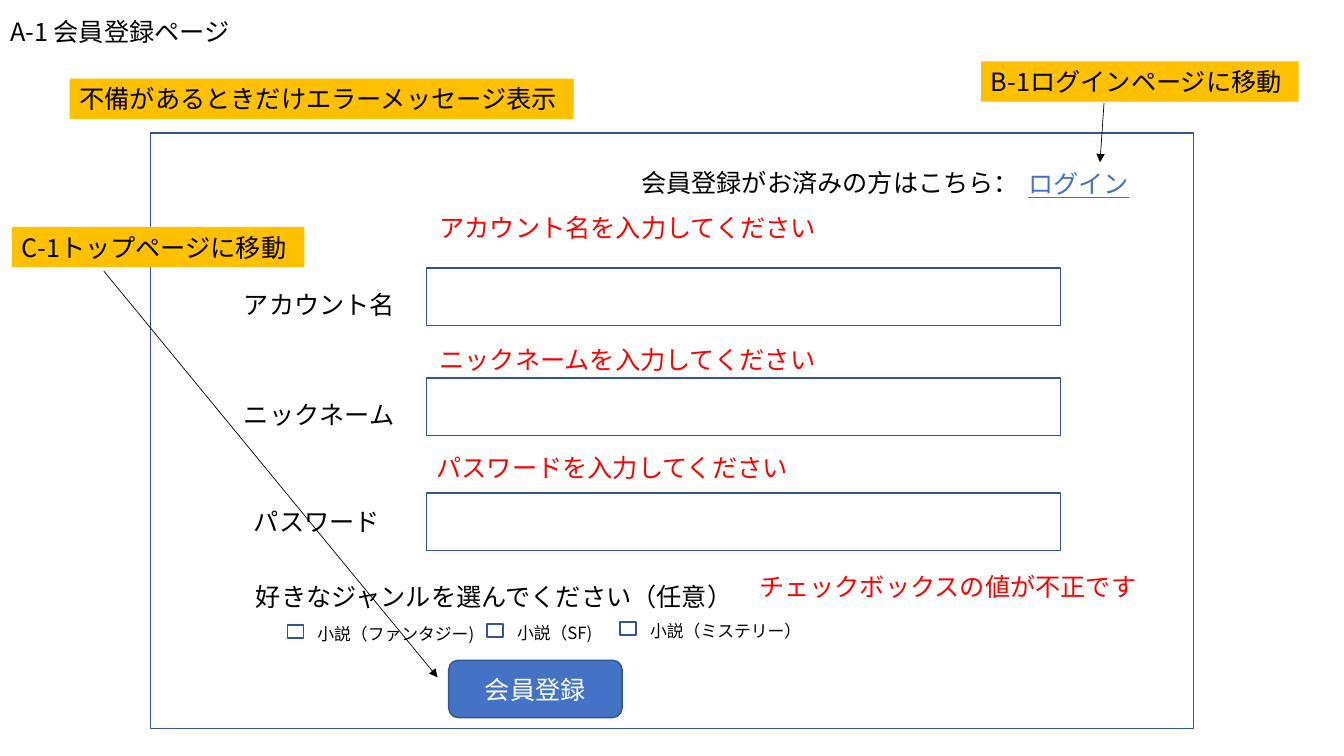
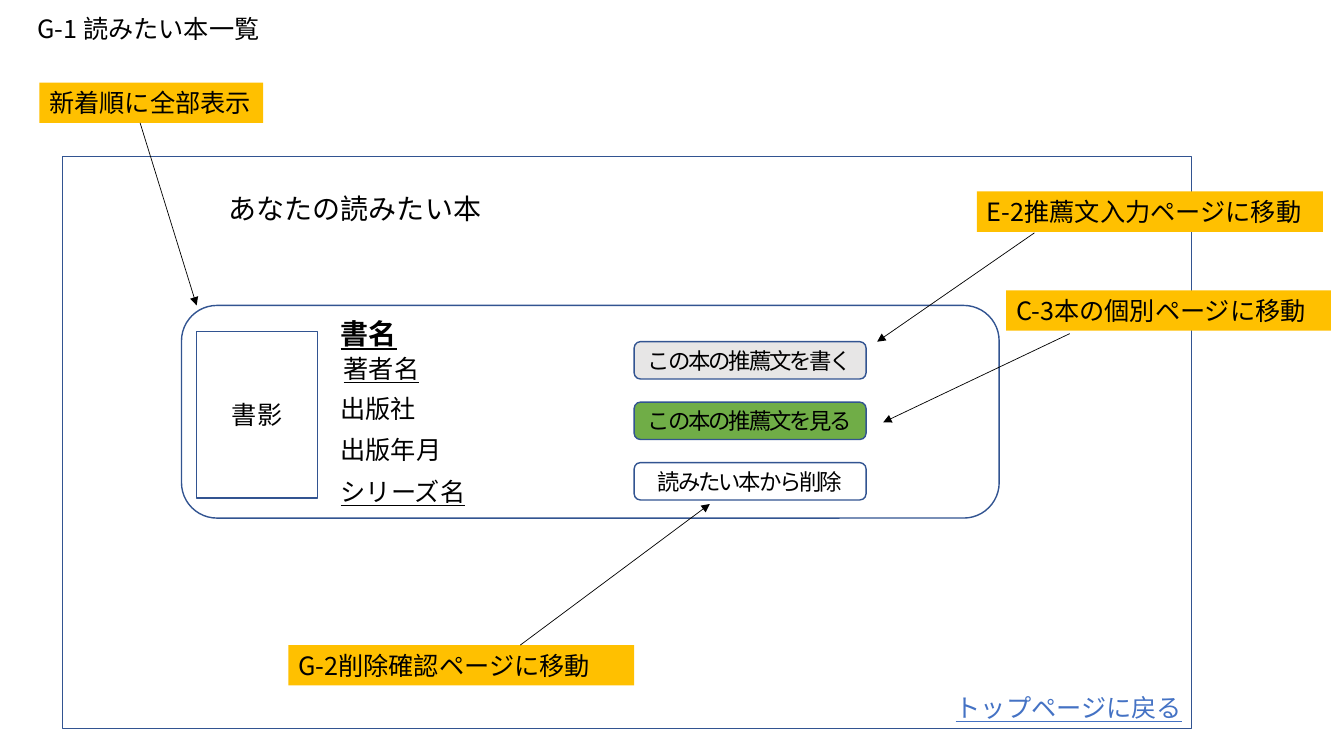
from lxml import etree
from pptx import Presentation
from pptx import util as u
from pptx.dml.color import RGBColor
from pptx.enum import shapes, text
from pptx.oxml.ns import qn

PX = 9144
FONT = "Noto Sans CJK JP"
COLORS = {
    "ink": "000000",
    "paper": "FFFFFF",
    "outline": "325491",
    "accent": "4472C4",
    "callout": "FFC000",
    "error": "FF0000",
    "write": "E7E6E6",
    "view": "70AD47",
}
RECT = shapes.MSO_SHAPE.RECTANGLE
ROUND = shapes.MSO_SHAPE.ROUNDED_RECTANGLE
LEFT, CENTER = text.PP_ALIGN.LEFT, text.PP_ALIGN.CENTER
TOP, MIDDLE = text.MSO_ANCHOR.TOP, text.MSO_ANCHOR.MIDDLE
LINK = {"color": "accent", "underline": True}


def px(*values):
    return [u.Emu(v * PX) for v in values]


def rgb(name):
    return RGBColor.from_string(COLORS[name])


def write(sp, words, size=18, color="ink", align=LEFT, anchor=MIDDLE,
          leading=None, spacing=None, **font):
    tf = sp.text_frame
    frame = {"word_wrap": True, "auto_size": text.MSO_AUTO_SIZE.NONE,
             "vertical_anchor": anchor}
    for name, value in frame.items():
        setattr(tf, name, value)
    p = tf.paragraphs[0]
    p.alignment = align
    if leading:
        p.line_spacing = u.Pt(leading)
    r = p.add_run()
    r.text = words
    for name, value in {"name": FONT, "size": u.Pt(size), **font}.items():
        setattr(r.font, name, value)
    r.font.color.rgb = rgb(color)
    rPr = r._r.get_or_add_rPr()
    rPr.find(qn("a:latin")).addnext(
        etree.Element(qn("a:ea"), typeface=FONT))
    if spacing:
        rPr.set("spc", str(spacing))


def add_page(prs, title, x, y):
    s = prs.slides.add_slide(prs.slide_layouts[5])
    sp = s.shapes.title
    sp.left, sp.top, sp.width, sp.height = px(x, y, 400, 40)
    write(sp, title)
    return s


def label(s, words, x, y, w, h=40, **fmt):
    write(s.shapes.add_textbox(*px(x, y, w, h)), words, **fmt)


def box(s, x, y, w, h, kind=RECT, fill=None, line="outline"):
    sp = s.shapes.add_shape(kind, *px(x, y, w, h))
    sp.shadow.inherit = False
    if fill:
        sp.fill.solid()
        sp.fill.fore_color.rgb = rgb(fill)
    else:
        sp.fill.background()
    if line:
        sp.line.color.rgb = rgb(line)
        sp.line.width = u.Pt(1)
    else:
        sp.line.fill.background()
    return sp


def callout(s, words, x, y, w):
    write(box(s, x, y, w, 40, fill="callout", line=None), words)


def button(s, words, x, y, w, h, fill=None, **fmt):
    write(box(s, x, y, w, h, ROUND, fill), words, align=CENTER, **fmt)


def arrow(s, *ends):
    c = s.shapes.add_connector(shapes.MSO_CONNECTOR.STRAIGHT, *px(*ends))
    c.line.color.rgb = rgb("ink")
    c.line.width = u.Pt(0.5)
    etree.SubElement(c.line._get_or_add_ln(), qn("a:tailEnd"), type="triangle")
    etree.SubElement(c._element.spPr, qn("a:effectLst"))


def checkbox(s, words, x, y, w):
    box(s, x, y, 16, 13)
    label(s, words, x + 20, y - 6, w, 30, size=12, anchor=TOP, leading=14)


def field(s, name, name_x, name_y, name_w, input_y, error_x, error_y):
    label(s, name, name_x, name_y, name_w)
    box(s, 423, input_y, 629, 57, fill="paper")
    label(s, f"{name}を入力してください", error_x, error_y, 399, color="error")


def registration_page(prs):
    s = add_page(prs, "A-1 会員登録ページ", 0, 11)
    box(s, 149, 132, 1035, 591)
    for row in (
        ("アカウント名", 232, 282, 172, 266, 426, 206),
        ("ニックネーム", 232, 391, 172, 375, 426, 337),
        ("パスワード", 242, 497, 146, 489, 423, 444),
    ):
        field(s, *row)
    label(s, "会員登録がお済みの方はこちら：", 626, 161, 399)
    label(s, "ログイン", 1010, 162, 121, **LINK)
    label(s, "好きなジャンルを選んでください（任意）", 244, 572, 500)
    label(s, "チェックボックスの値が不正です", 743, 562, 399, color="error")
    for genre in (
        ("小説（ファンタジー)", 285, 620, 178),
        ("小説（SF)", 483, 619, 98),
        ("小説（ミステリー）", 615, 617, 172),
    ):
        checkbox(s, *genre)
    button(s, "会員登録", 445, 655, 172, 57, "accent", color="paper")
    for note in (
        ("不備があるときだけエラーメッセージ表示", 69, 78, 500),
        ("B-1ログインページに移動", 973, 61, 315),
        ("C-1トップページに移動", 12, 225, 290),
    ):
        callout(s, *note)
    arrow(s, 1095, 102, 1091, 161)
    arrow(s, 103, 269, 434, 672)


def reading_list_page(prs):
    s = add_page(prs, "G-1 読みたい本一覧", 27, 8)
    box(s, 62, 155, 1120, 568)
    label(s, "あなたの読みたい本", 217, 185, 273, 44, size=20)
    box(s, 180, 303, 811, 211, ROUND)
    write(box(s, 195, 329, 120, 165), "書影", align=CENTER)
    label(s, "書名", 328, 309, 80, 44, size=20, bold=True, underline=True)
    label(s, "著者名", 331, 346, 100, underline=True)
    label(s, "出版社", 328, 385, 160)
    label(s, "出版年月", 328, 426, 160)
    label(s, "シリーズ名", 328, 468, 161, underline=True)
    actions = (
        ("この本の推薦文を書く", "write"),
        ("この本の推薦文を見る", "view"),
        ("読みたい本から削除", None),
    )
    for i, (words, fill) in enumerate(actions):
        button(s, words, 629, 339 + 60 * i, 230, 37, fill,
               size=16, spacing=-150)
    for note in (
        ("新着順に全部表示", 39, 82, 222),
        ("E-2推薦文入力ページに移動", 969, 190, 343),
        ("C-3本の個別ページに移動", 998, 288, 322),
        ("G-2削除確認ページに移動", 286, 640, 343),
    ):
        callout(s, *note)
    label(s, "トップページに戻る", 938, 682, 247, **LINK)
    for ends in (
        (139, 122, 195, 303),
        (1026, 231, 870, 339),
        (1061, 331, 876, 419),
        (516, 640, 704, 500),
    ):
        arrow(s, *ends)


def main():
    prs = Presentation()
    prs.slide_width, prs.slide_height = px(1333, 750)
    registration_page(prs)
    reading_list_page(prs)
    prs.save("out.pptx")


if __name__ == "__main__":
    main()
